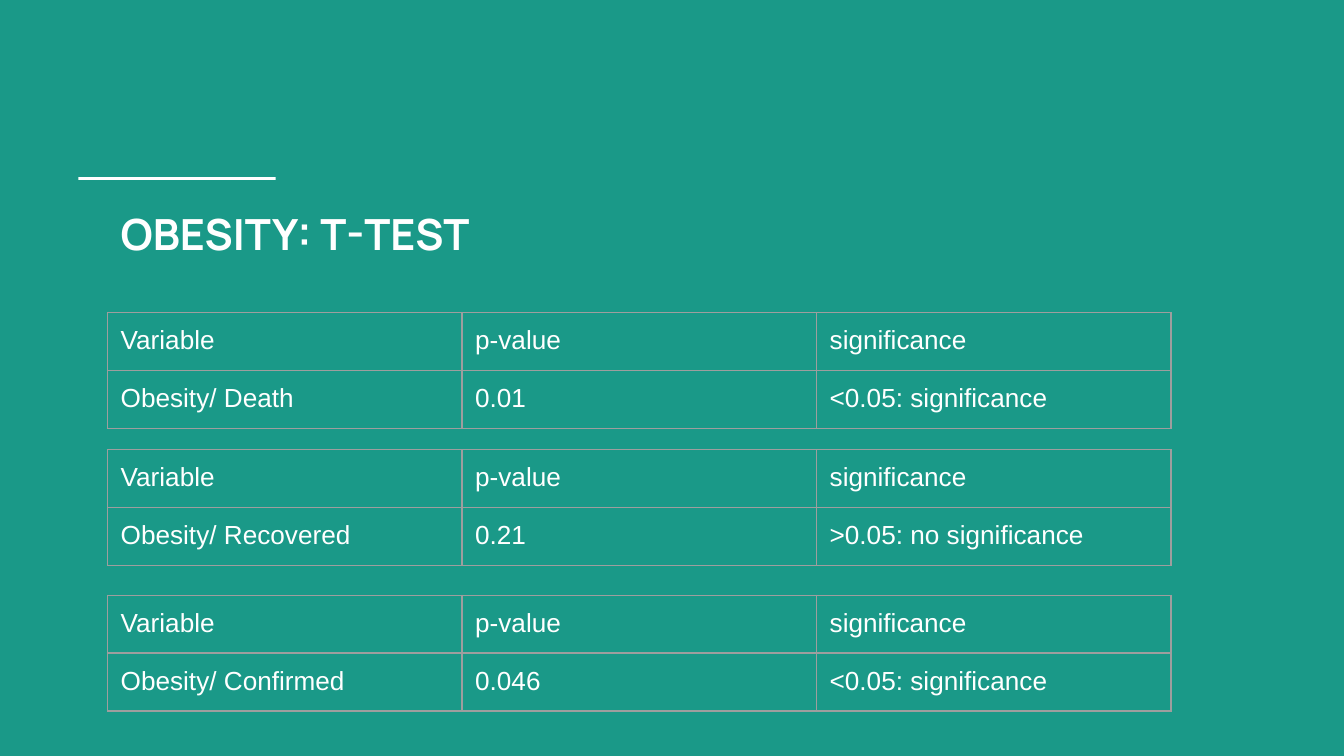
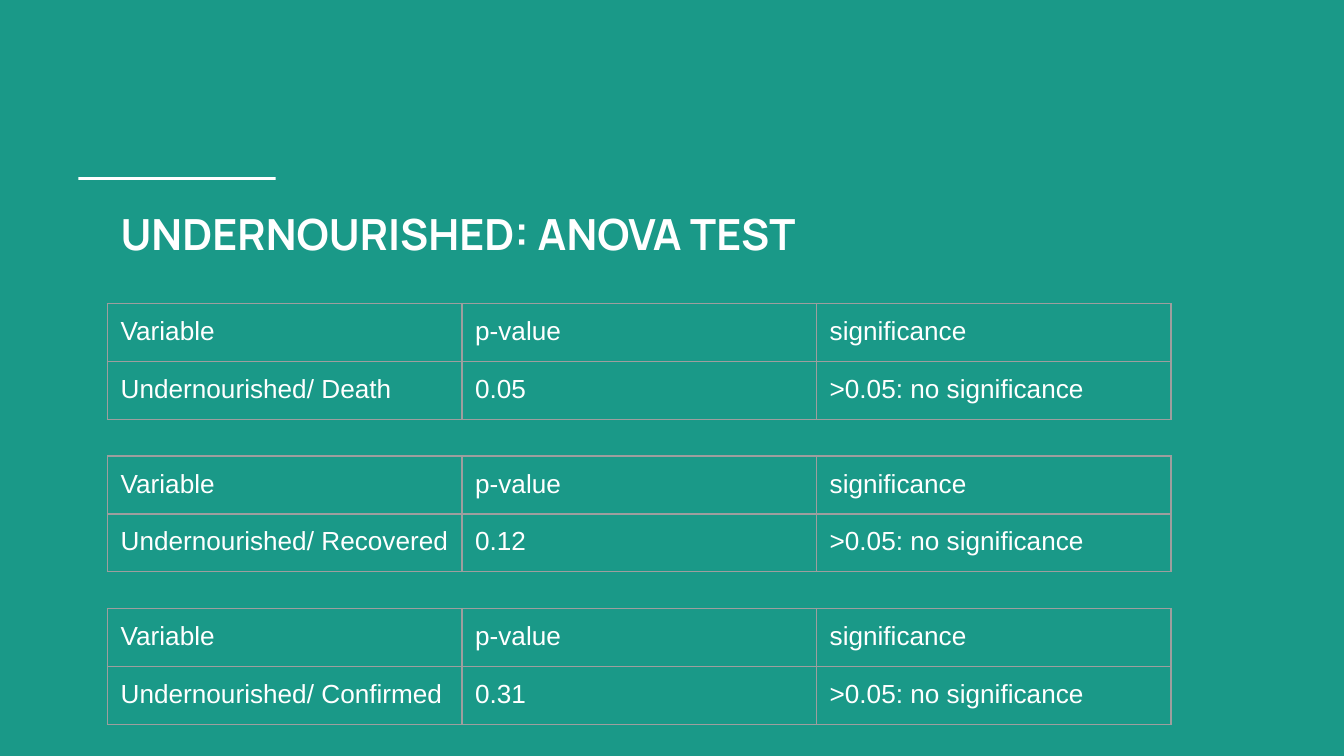
from lxml.etree import SubElement
from pptx import Presentation
from pptx.dml.color import RGBColor
from pptx.enum.shapes import MSO_SHAPE as Shape
from pptx.enum.text import MSO_ANCHOR as Anchor
from pptx.oxml.ns import qn
from pptx.util import Cm, Pt

COLORS = {"background": "1A9988", "text": "FFFFFF", "border": "9E9E9E"}
HEADER = ("Variable", "p-value", "significance")
LEFT, COLUMN_WIDTH, ROW_HEIGHT, INSET = 2.03, 6.7, 1.06, 0.25

OBESITY_TESTS = [
    (5.91, "Obesity/ Death", "0.01", "<0.05: significance"),
    (8.5, "Obesity/ Recovered", "0.21", ">0.05: no significance"),
    (11.25, "Obesity/ Confirmed", "0.046", "<0.05: significance"),
]
UNDERNOURISHED_TOP, UNDERNOURISHED_STEP = 5.74, 2.88
UNDERNOURISHED_TESTS = [
    ("Undernourished/ Death", "0.05", ">0.05: no significance"),
    ("Undernourished/ Recovered", "0.12", ">0.05: no significance"),
    ("Undernourished/ Confirmed", "0.31", ">0.05: no significance"),
]


def rgb(name):
    return RGBColor.from_string(COLORS[name])


class Deck:
    """Hold the shared style and the slide being built."""

    def __init__(self):
        self.presentation = Presentation()
        self.presentation.slide_width = Cm(25.4)
        self.presentation.slide_height = Cm(14.29)
        self.slide = None

    def add_slide(self, title):
        self.slide = self.presentation.slides.add_slide(self.presentation.slide_layouts[6])
        fill = self.slide.background.fill
        fill.solid()
        fill.fore_color.rgb = rgb("background")
        for left in (2.51, 1.48):
            self.add_bar(left, 3.35, 2.7, 0.05)
        self.add_title(title)

    def add_bar(self, left, top, width, height):
        shape = self.slide.shapes.add_shape(
            Shape.RECTANGLE, Cm(left), Cm(top), Cm(width), Cm(height))
        shape.shadow.inherit = False
        shape.fill.solid()
        shape.fill.fore_color.rgb = rgb("text")
        shape.line.fill.background()

    def add_run(self, paragraph, text, font_name, size, bold=False):
        run = paragraph.add_run()
        run.text = text
        run.font.name = font_name
        run.font.size = Pt(size)
        run.font.bold = bold
        run.font.color.rgb = rgb("text")

    def set_margins(self, holder):
        for side in ("left", "top", "right", "bottom"):
            setattr(holder, f"margin_{side}", Cm(INSET))

    def add_title(self, text):
        box = self.slide.shapes.add_textbox(Cm(LEFT), Cm(3.68), Cm(21.36), Cm(2.21))
        frame = box.text_frame
        frame.word_wrap = True
        frame.vertical_anchor = Anchor.TOP
        self.set_margins(frame)
        self.add_run(frame.paragraphs[0], text, "Manrope", 23, bold=True)

    def add_borders(self, cell):
        properties = cell._tc.get_or_add_tcPr()
        for side in ("lnL", "lnR", "lnT", "lnB"):
            line = SubElement(properties, qn(f"a:{side}"), w=str(Pt(0.75)))
            fill = SubElement(line, qn("a:solidFill"))
            SubElement(fill, qn("a:srgbClr"), val=COLORS["border"])

    def add_table(self, top, rows):
        columns = len(rows[0])
        table = self.slide.shapes.add_table(
            len(rows), columns, Cm(LEFT), Cm(top),
            Cm(COLUMN_WIDTH * columns), Cm(ROW_HEIGHT * len(rows))).table
        table.first_row = False
        table.horz_banding = False
        for row_index, row in enumerate(rows):
            for column_index, text in enumerate(row):
                cell = table.cell(row_index, column_index)
                self.set_margins(cell)
                self.add_borders(cell)
                cell.fill.background()
                self.add_run(cell.text_frame.paragraphs[0], text, "Arial", 14)


def main():
    deck = Deck()
    deck.add_slide("OBESITY: T-TEST")
    for top, *result in OBESITY_TESTS:
        deck.add_table(top, [HEADER, result])
    deck.add_slide("UNDERNOURISHED: ANOVA TEST")
    for index, result in enumerate(UNDERNOURISHED_TESTS):
        deck.add_table(UNDERNOURISHED_TOP + index * UNDERNOURISHED_STEP, [HEADER, result])
    deck.presentation.save("out.pptx")


if __name__ == "__main__":
    main()
